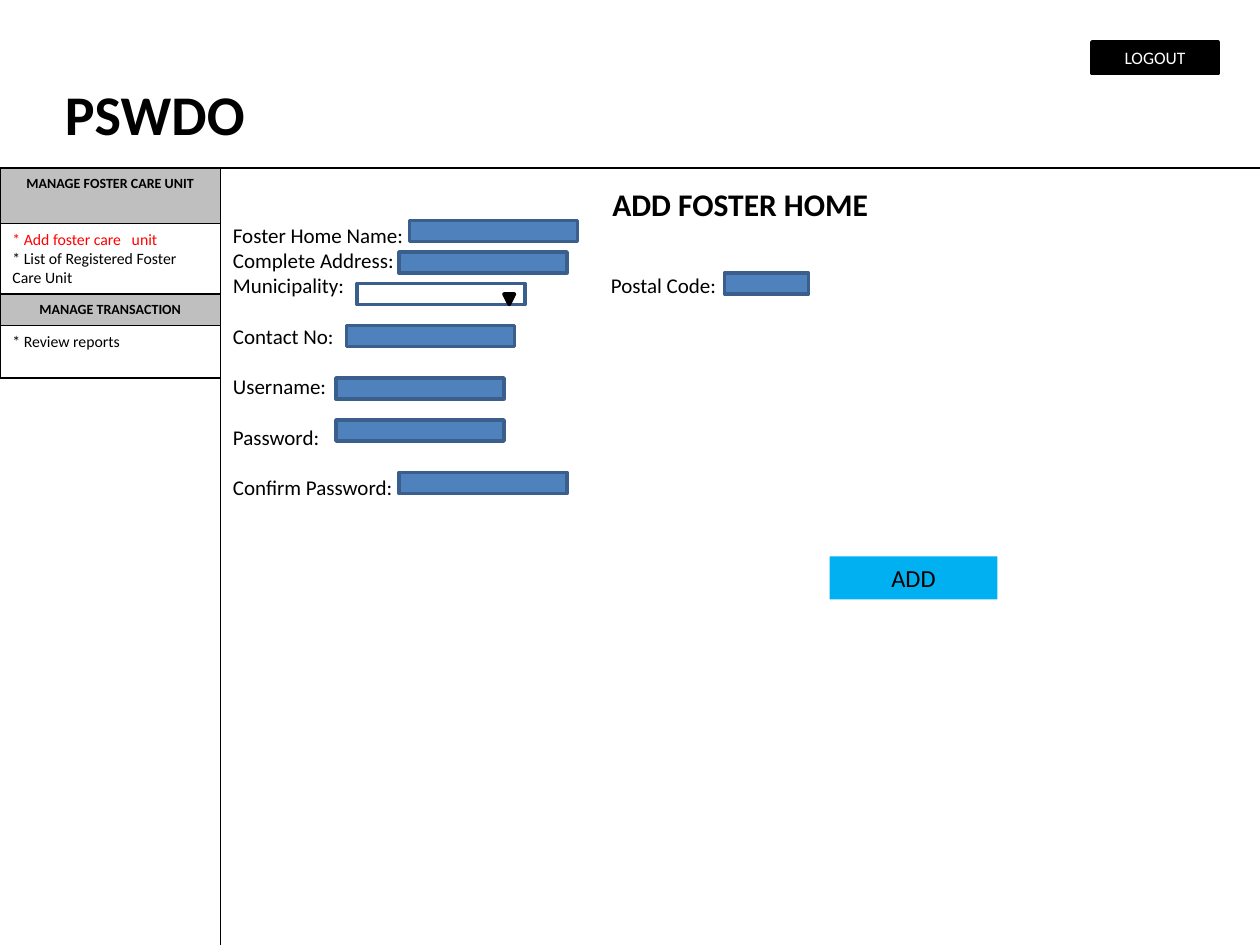
from dataclasses import dataclass

from lxml.etree import SubElement
from pptx import Presentation
from pptx.dml.color import RGBColor
from pptx.enum.shapes import MSO_CONNECTOR as Connector, MSO_SHAPE as Shape
from pptx.enum.text import MSO_ANCHOR as Anchor, PP_ALIGN as Align
from pptx.oxml.ns import qn
from pptx.util import Inches, Pt

COLUMNS, ROWS = 120, 90
CELL = Inches(10) / COLUMNS


@dataclass(frozen=True)
class Theme:
    font: str = "Calibri"
    black: str = "000000"
    white: str = "FFFFFF"
    heading_fill: str = "BFBFBF"
    field_fill: str = "4F81BD"
    field_line: str = "3A5F8C"
    button_fill: str = "00B0F0"
    active: str = "FF0000"
    title: int = 32
    form_title: int = 18
    button: int = 14
    label: int = 12
    logout: int = 10
    menu_item: int = 9
    menu_heading: int = 8
    thin: float = 0.75
    thick: float = 2
    blank_line: float = 14.4


@dataclass(frozen=True)
class Box:
    """A rectangle counted in grid cells."""
    left: float
    top: float
    width: float
    height: float

    def inner(self, left, top, width, height):
        return Box(self.left + left, self.top + top, width, height)

    def lengths(self):
        return [round(n * CELL) for n in (self.left, self.top, self.width, self.height)]


THEME = Theme()


def color(value):
    return RGBColor.from_string(value)


def style(para, size, ink=THEME.black, bold=False, align=Align.LEFT):
    para.alignment = align
    for span in para.runs:
        span.font.name = THEME.font
        span.font.size = Pt(size)
        span.font.bold = bold
        span.font.color.rgb = color(ink)


def add_tab_stop(para, columns):
    stops = SubElement(para._p.get_or_add_pPr(), qn("a:tabLst"))
    SubElement(stops, qn("a:tab"), pos=str(round(columns * CELL)), algn="l")


def add_panel(page, box, fill, line=None, weight=THEME.thin, kind=Shape.RECTANGLE):
    panel = page.shapes.add_shape(kind, *box.lengths())
    panel.shadow.inherit = False
    panel.fill.solid()
    panel.fill.fore_color.rgb = color(fill)
    if line:
        panel.line.color.rgb = color(line)
        panel.line.width = Pt(weight)
    else:
        panel.line.fill.background()
    panel.text_frame.vertical_anchor = Anchor.TOP
    return panel


def add_text(page, box):
    frame = page.shapes.add_textbox(*box.lengths()).text_frame
    frame.word_wrap = True
    return frame


def add_rule(page, box):
    left, top, width, height = box.lengths()
    rule = page.shapes.add_connector(
        Connector.STRAIGHT, left, top, left + width, top + height)
    rule.line.color.rgb = color(THEME.black)
    rule.line.width = Pt(THEME.thin)
    SubElement(rule._element.spPr, qn("a:effectLst"))


def add_button(page, box, label, size, fill, ink, line=None):
    button = add_panel(page, box, fill, line, THEME.thick)
    button.text_frame.text = label
    style(button.text_frame.paragraphs[0], size, ink, align=Align.CENTER)
    return button


def add_header(page, box):
    frame = add_text(page, box.inner(5, 7, 36, 7.7))
    frame.text = "PSWDO"
    style(frame.paragraphs[0], THEME.title, bold=True)
    logout = add_button(page, box.inner(104, 4, 12, 3), "LOGOUT", THEME.logout,
                        THEME.black, THEME.white, THEME.black)
    logout.text_frame.vertical_anchor = Anchor.MIDDLE
    add_rule(page, box.inner(0, box.height, box.width, 0))


def add_menu_section(page, box, heading, heading_height, items, active=None):
    top = add_panel(page, box.inner(0, 0, box.width, heading_height),
                    THEME.heading_fill, THEME.black)
    top.text_frame.text = heading
    style(top.text_frame.paragraphs[0], THEME.menu_heading, bold=True, align=Align.CENTER)
    body = add_panel(
        page, box.inner(0, heading_height, box.width, box.height - heading_height),
        THEME.white, THEME.black)
    body.text_frame.text = "\n".join(items)
    for item, para in zip(items, body.text_frame.paragraphs):
        style(para, THEME.menu_item, THEME.active if item == active else THEME.black)


def add_sidebar(page, box):
    add_rule(page, box.inner(box.width, 0, 0, box.height))
    add_unit = "* Add foster care   unit"
    add_menu_section(page, box.inner(0, 0, box.width, 15.3), "MANAGE FOSTER CARE UNIT", 5.3,
                     [add_unit, "* List of Registered Foster Care Unit"], add_unit)
    add_menu_section(page, box.inner(0, 12, box.width, 8), "MANAGE TRANSACTION", 3,
                     ["* Review reports"])


def add_labels(page, box):
    # Each label with whether a line is left free above it.
    labels = [("Foster Home Name: ", False), ("Complete Address:", False),
              ("Municipality:\tPostal Code: ", False), ("Contact No: ", True),
              ("Username:", True), ("Password:", True), ("Confirm Password:", True)]
    frame = add_text(page, box)
    frame.text = "ADD FOSTER HOME"
    style(frame.paragraphs[0], THEME.form_title, bold=True, align=Align.CENTER)
    for label, spaced in labels:
        para = frame.add_paragraph()
        para.text = label
        para.space_before = Pt(THEME.blank_line if spaced else 0)
        style(para, THEME.label, align=Align.JUSTIFY)
        if "\t" in label:
            add_tab_stop(para, 36)


def add_form(page, box):
    add_labels(page, box)
    input_fields = [(18, 4, 16), (17, 7, 16), (12, 14, 16), (48, 9, 8),
                    (11, 19, 16), (11, 23, 16), (17, 28, 16)]
    for left, top, width in input_fields:
        add_panel(page, box.inner(left, top, width, 2),
                  THEME.field_fill, THEME.field_line, THEME.thick)
    add_panel(page, box.inner(13, 10, 16, 2), THEME.white, THEME.field_line, THEME.thick)
    add_panel(page, box.inner(27, 11, 1, 1), THEME.black, THEME.black, THEME.thick,
              Shape.FLOWCHART_MERGE)
    add_button(page, box.inner(58, 36, 16, 4.1), "ADD", THEME.button,
               THEME.button_fill, THEME.black)


def main():
    deck = Presentation()
    deck.slide_width, deck.slide_height = round(COLUMNS * CELL), round(ROWS * CELL)
    page = deck.slides.add_slide(deck.slide_layouts[6])
    header_height, menu_width = 16, 21
    add_header(page, Box(0, 0, COLUMNS, header_height))
    add_sidebar(page, Box(0, header_height, menu_width, ROWS - header_height))
    add_form(page, Box(menu_width, header_height + 1, COLUMNS - menu_width, 42))
    deck.save("out.pptx")


if __name__ == "__main__":
    main()
